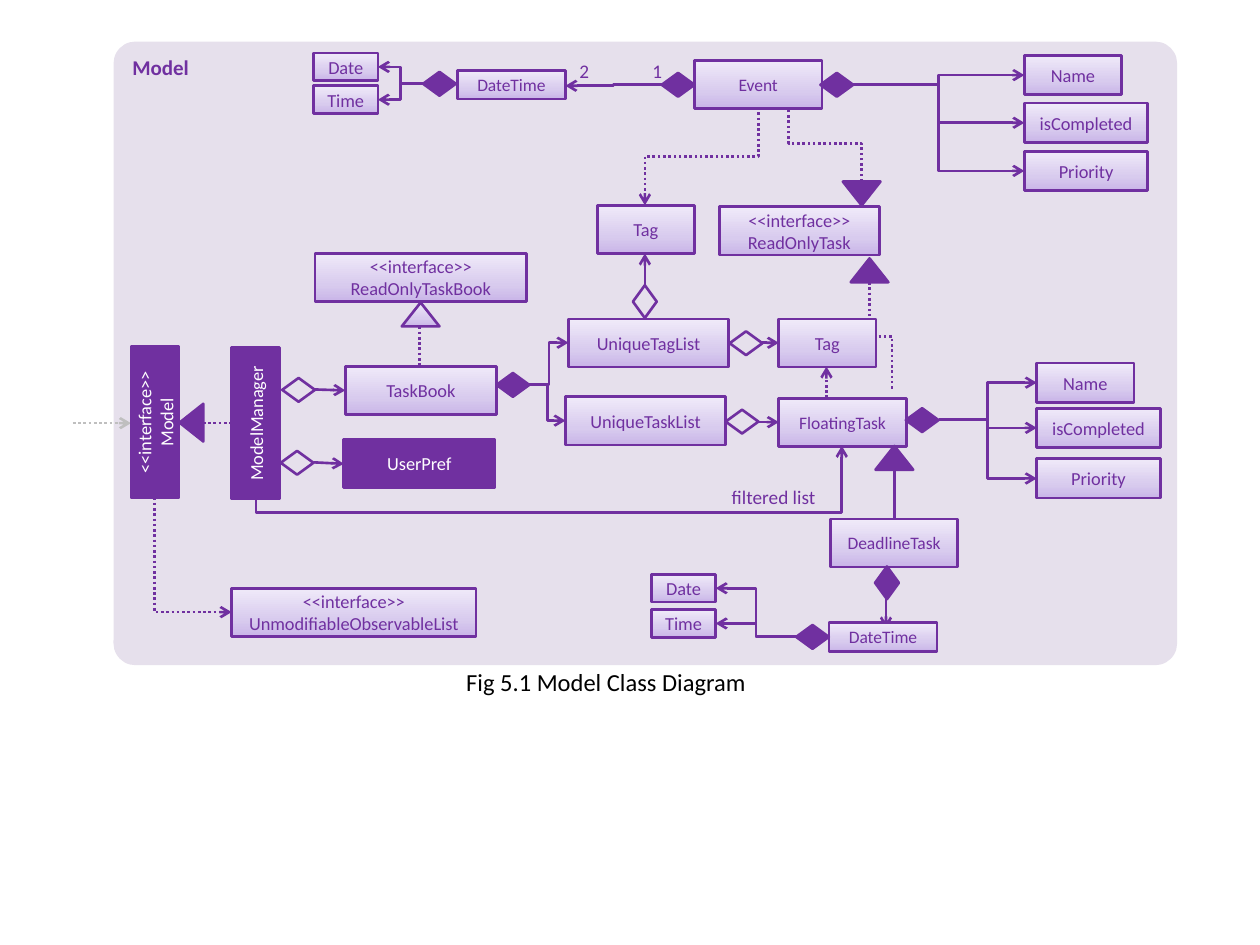
from copy import deepcopy
from dataclasses import dataclass

from lxml import etree
from pptx import Presentation
from pptx.dml.color import RGBColor
from pptx.enum.dml import MSO_LINE
from pptx.enum.shapes import MSO_CONNECTOR, MSO_SHAPE
from pptx.enum.text import MSO_ANCHOR, MSO_AUTO_SIZE, PP_ALIGN
from pptx.oxml.ns import qn
from pptx.util import Cm, Pt

RECTANGLE, ROUNDED = MSO_SHAPE.RECTANGLE, MSO_SHAPE.ROUNDED_RECTANGLE
DIAMOND, TRIANGLE = MSO_SHAPE.FLOWCHART_DECISION, MSO_SHAPE.ISOSCELES_TRIANGLE
STRAIGHT, ELBOW = MSO_CONNECTOR.STRAIGHT, MSO_CONNECTOR.ELBOW
DOTTED = MSO_LINE.ROUND_DOT
LEFT, CENTER, RIGHT = PP_ALIGN.LEFT, PP_ALIGN.CENTER, PP_ALIGN.RIGHT
TOP, MIDDLE = MSO_ANCHOR.TOP, MSO_ANCHOR.MIDDLE
TITLE_ONLY = 5


@dataclass(frozen=True)
class Theme:
    font: str = "Calibri"
    purple: str = "7030A0"
    panel: str = "E6E0EC"
    grey: str = "BFBFBF"
    white: str = "FFFFFF"
    black: str = "000000"
    gradient: tuple = ((0, "C9B5E8"), (0.35, "D8CBEE"), (1, "F0EAF9"))
    line_width: float = 1.5
    small: float = 10
    body: float = 10.5
    label: float = 11
    heading: float = 12
    caption: float = 14


THEME = Theme()
BOX_HEIGHT = 0.97
ATTRIBUTE_HEIGHT = 0.79
PART_HEIGHT = 0.56


def write_text(shape, text, size=THEME.body, color=THEME.purple, bold=False,
               align=CENTER, anchor=MIDDLE, margin=None):
    """Newline starts a paragraph, vertical tab breaks a line."""
    frame = shape.text_frame
    frame.text = text
    frame.word_wrap = True
    frame.vertical_anchor = anchor
    if margin is not None:
        frame.margin_left = frame.margin_right = Cm(margin)
        frame.margin_top = frame.margin_bottom = Cm(margin)
    for paragraph in frame.paragraphs:
        paragraph.alignment = align
        for run in paragraph.runs:
            run.font.name = THEME.font
            run.font.size = Pt(size)
            run.font.bold = bold
            run.font.color.rgb = RGBColor.from_string(color)
    for line_break in frame._txBody.iter(qn("a:br")):
        etree.SubElement(line_break, qn("a:rPr"), sz=str(int(size * 100)))


def fill_gradient(shape):
    shape.fill.gradient()
    shape.fill.gradient_angle = 90
    stop_list = shape._element.spPr.find(".//" + qn("a:gsLst"))
    stop_list.append(deepcopy(stop_list[-1]))
    for stop, (position, color) in zip(shape.fill.gradient_stops, THEME.gradient):
        stop.position = position
        stop.color.rgb = RGBColor.from_string(color)


def add_shape(slide, kind, left, top, width, height, fill=None,
              line=THEME.purple, rotation=0):
    """Fill is a colour, the gradient stops of the theme, or None."""
    shape = slide.shapes.add_shape(kind, Cm(left), Cm(top), Cm(width), Cm(height))
    shape.shadow.inherit = False
    shape.rotation = rotation
    if fill is None:
        shape.fill.background()
    elif fill == THEME.gradient:
        fill_gradient(shape)
    else:
        shape.fill.solid()
        shape.fill.fore_color.rgb = RGBColor.from_string(fill)
    if line is None:
        shape.line.fill.background()
    else:
        shape.line.color.rgb = RGBColor.from_string(line)
        shape.line.width = Pt(THEME.line_width)
    return shape


def add_box(slide, text, left, top, width, height=BOX_HEIGHT, size=THEME.body,
            solid=False, rotation=0):
    fill, color = (THEME.purple, THEME.white) if solid else (THEME.gradient, THEME.purple)
    box = add_shape(slide, RECTANGLE, left, top, width, height, fill, rotation=rotation)
    write_text(box, text, size, color, margin=0)


def add_diamond(slide, left, top, fill=THEME.purple, rotation=0):
    add_shape(slide, DIAMOND, left, top, 0.66, 0.48, fill, rotation=rotation)


def add_triangle(slide, left, top, fill=THEME.purple, rotation=0):
    add_shape(slide, TRIANGLE, left, top, 0.76, 0.48, fill, rotation=rotation)


def add_label(slide, text, left, top, width, align=LEFT):
    label = slide.shapes.add_textbox(Cm(left), Cm(top), Cm(width), Cm(0.74))
    write_text(label, text, THEME.label, align=align, anchor=TOP)


def add_link(slide, start, end, kind=STRAIGHT, arrow=True, dotted=False,
             color=THEME.purple, vertical=False, bend=None, corner=False):
    """A vertical elbow leaves its start upwards or downwards."""
    (x1, y1), (x2, y2) = start, end
    turn = 0
    if vertical:
        turn = -1 if (x2 - x1) * (y2 - y1) > 0 else 1
        middle_x, middle_y = (x1 + x2) / 2, (y1 + y2) / 2
        half_width, half_height = turn * (y2 - y1) / 2, turn * (x1 - x2) / 2
        x1, x2 = middle_x - half_width, middle_x + half_width
        y1, y2 = middle_y - half_height, middle_y + half_height
    link = slide.shapes.add_connector(kind, Cm(x1), Cm(y1), Cm(x2), Cm(y2))
    link.line.color.rgb = RGBColor.from_string(color)
    link.line.width = Pt(THEME.line_width)
    if dotted:
        link.line.dash_style = DOTTED
    properties = link._element.spPr
    if turn:
        properties.find(qn("a:xfrm")).set("rot", str(turn * 90 % 360 * 60000))
    geometry = properties.find(qn("a:prstGeom"))
    if corner:
        geometry.set("prst", "bentConnector2")
    if bend is not None:
        etree.SubElement(geometry.find(qn("a:avLst")), qn("a:gd"),
                         name="adj1", fmla=f"val {round(bend * 100000)}")
    if arrow:
        etree.SubElement(properties.find(qn("a:ln")), qn("a:tailEnd"), type="arrow")
    etree.SubElement(properties, qn("a:effectLst"))


def add_attributes(slide, origin, left, tops):
    names = (("Name", 1.96), ("isCompleted", 2.49), ("Priority", 2.49))
    for (name, width), top in zip(names, tops):
        add_link(slide, origin, (left, top + ATTRIBUTE_HEIGHT / 2), ELBOW)
        add_box(slide, name, left, top, width, ATTRIBUTE_HEIGHT)


def add_date_parts(slide, origin, left, tops):
    width = 1.3
    for name, top in zip(("Date", "Time"), tops):
        add_link(slide, origin, (left + width, top + PART_HEIGHT / 2), ELBOW)
        add_box(slide, name, left, top, width, PART_HEIGHT)


def add_links(slide):
    # Straight links
    add_link(slide, (1.47, 8.53), (2.64, 8.53), dotted=True, color=THEME.grey)
    add_link(slide, (4.09, 8.53), (4.7, 8.53), arrow=False, dotted=True)
    add_link(slide, (8.46, 6.58), (8.46, 7.39), arrow=False, dotted=True)
    add_link(slide, (18.03, 9.47), (18.03, 10.46), arrow=False)
    add_link(slide, (16.66, 8.13), (16.66, 7.39), dotted=True)
    for start, end in (((6.32, 9.32), (6.93, 9.35)), ((6.32, 7.85), (6.96, 7.87)),
                       ((15.29, 8.51), (15.7, 8.51)), ((15.37, 6.91), (15.7, 6.91)),
                       ((17.86, 12.07), (17.86, 12.67)), ((13, 5.77), (13, 5.11))):
        add_link(slide, start, end)
    # Elbows that leave sideways
    for start, end in (((10.67, 7.75), (11.4, 8.48)), ((10.67, 7.75), (11.46, 6.91)),
                       ((13.34, 1.7), (11.4, 1.73))):
        add_link(slide, start, end, ELBOW)
    # Elbows that leave up or down
    add_link(slide, (17.53, 5.69), (17.98, 7.87), ELBOW, False, True, vertical=True)
    add_link(slide, (17.37, 3.66), (15.9, 2.13), ELBOW, False, True, vertical=True)
    add_link(slide, (15.29, 2.16), (13, 4.14), ELBOW, dotted=True, vertical=True)
    add_link(slide, (5.16, 10.06), (16.97, 8.99), ELBOW, vertical=True, bend=-0.255)
    add_link(slide, (3.12, 10.03), (4.67, 12.34), ELBOW, dotted=True, vertical=True,
             corner=True)


def add_classes(slide):
    for text, left, top, width in (
            ("TaskBook", 6.96, 7.39, 3.05), ("UniqueTaskList", 11.4, 8, 3.23),
            ("UniqueTagList", 11.46, 6.43, 3.23), ("Tag", 15.7, 6.43, 1.96),
            ("Tag", 12.04, 4.14, 1.96),
            ("<<interface>>\vReadOnlyTask", 14.5, 4.17, 3.23),
            ("<<interface>>\vReadOnlyTaskBook", 6.35, 5.11, 4.27),
            ("<<interface>>\vUnmodifiableObservableList", 4.67, 11.86, 4.93)):
        add_box(slide, text, left, top, width)
    for text, left, top in (("FloatingTask", 15.7, 8.03), ("DeadlineTask", 16.74, 10.46),
                            ("Event", 14, 1.22)):
        add_box(slide, text, left, top, 2.57, size=THEME.small)
    for left, top in ((16.71, 12.55), (9.22, 1.42)):
        add_box(slide, "DateTime", left, top, 2.18, 0.58, THEME.small)
    for text, left, top, rotation in (("UserPref", 6.93, 8.86, 0),
                                      ("ModelManager", 3.63, 8.05, 270),
                                      ("<<interface>>\nModel", 1.6, 8.03, 270)):
        add_box(slide, text, left, top, 3.05, solid=True, rotation=rotation)


def add_symbols(slide):
    # Composition
    for left, top in ((10.01, 7.52), (18.26, 8.23), (16.54, 1.47), (13.34, 1.47),
                      (8.53, 1.45), (16.05, 12.6)):
        add_diamond(slide, left, top)
    add_diamond(slide, 17.55, 11.51, rotation=90)
    # Aggregation
    for left, top in ((5.66, 9.09), (5.69, 7.62), (14.63, 8.26), (14.71, 6.68)):
        add_diamond(slide, left, top, None)
    add_diamond(slide, 12.67, 5.84, None, 270)
    # Inheritance
    for left, top, rotation in ((3.48, 8.28, 270), (17.15, 5.21, 0),
                                (17.65, 8.99, 0), (16.99, 3.66, 180)):
        add_triangle(slide, left, top, rotation=rotation)
    add_triangle(slide, 8.1, 6.1, THEME.gradient)


def add_caption(slide):
    title = slide.shapes.title
    title.left, title.top, title.width, title.height = Cm(5.31), Cm(13.44), Cm(13.82), Cm(0.61)
    write_text(title, "Fig 5.1 Model Class Diagram", THEME.caption, THEME.black,
               anchor=TOP, margin=0)
    title.text_frame.auto_size = MSO_AUTO_SIZE.NONE


def main():
    presentation = Presentation()
    presentation.slide_width, presentation.slide_height = Cm(25.4), Cm(19.05)
    slide = presentation.slides.add_slide(presentation.slide_layouts[TITLE_ONLY])
    add_caption(slide)
    panel = add_shape(slide, ROUNDED, 2.29, 0.84, 21.44, 12.57, THEME.panel, None)
    panel.adjustments[0] = 0.035
    write_text(panel, "Model", THEME.heading, bold=True, align=LEFT, anchor=TOP)
    add_links(slide)
    add_attributes(slide, (17.2, 1.7), 20.65, (1.12, 2.08, 3.05))
    add_attributes(slide, (18.92, 8.46), 20.9, (7.32, 8.23, 9.25))
    add_date_parts(slide, (8.53, 1.68), 6.32, (1.07, 1.73))
    add_date_parts(slide, (16.05, 12.83), 13.13, (11.58, 12.29))
    add_classes(slide)
    add_symbols(slide)
    add_label(slide, "filtered list", 14.25, 9.65, 2.44, RIGHT)
    add_label(slide, "2", 11.43, 1.07, 0.56)
    add_label(slide, "1", 12.9, 1.07, 0.56)
    presentation.save("out.pptx")


main()
